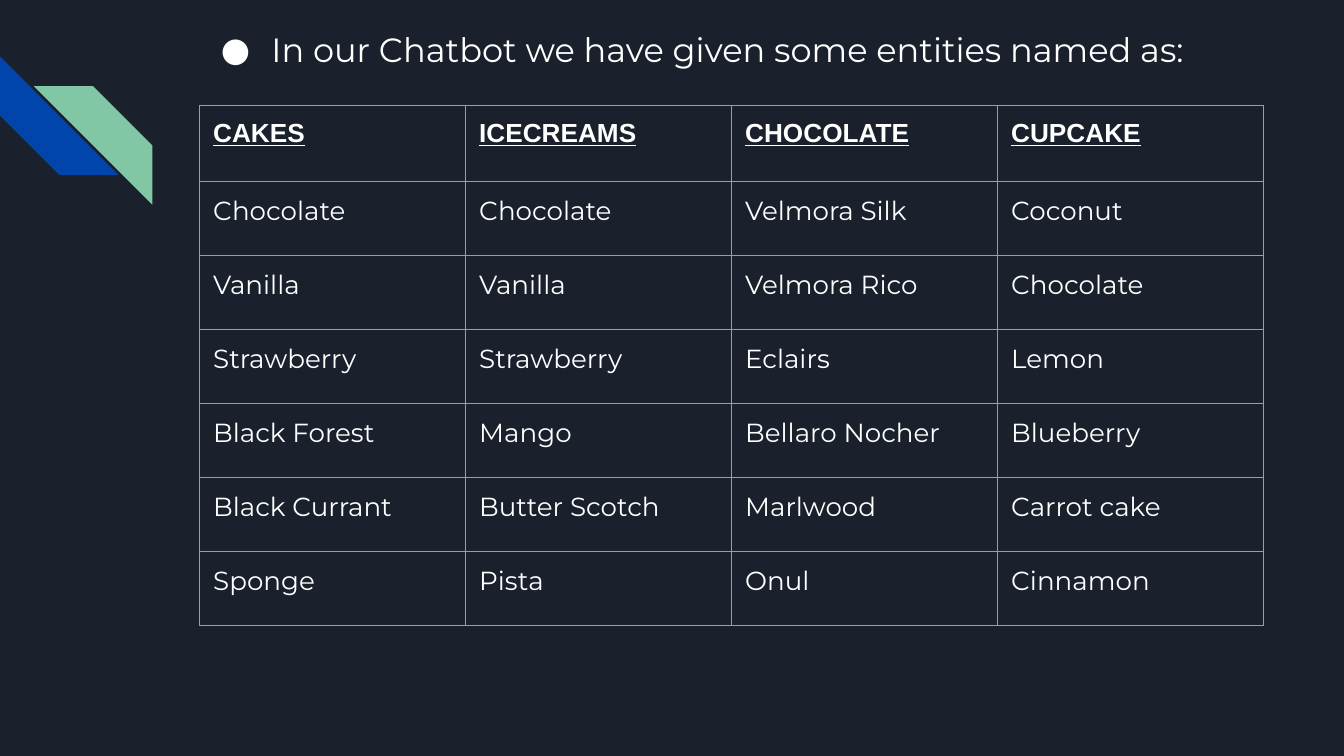
from lxml.etree import SubElement
from pptx import Presentation
from pptx.dml.color import RGBColor
from pptx.enum.shapes import MSO_SHAPE
from pptx.enum.text import MSO_ANCHOR, MSO_AUTO_SIZE
from pptx.oxml import parse_xml
from pptx.oxml.ns import nsdecls, qn
from pptx.util import Pt

NAVY = RGBColor(0x1B, 0x21, 0x2C)
BLUE = RGBColor(0x01, 0x45, 0xAC)
GREEN = RGBColor(0x82, 0xC7, 0xA5)
GREY = RGBColor(0x9E, 0x9E, 0x9E)
WHITE = RGBColor(0xFF, 0xFF, 0xFF)
INSET = Pt(7.2)

ENTITIES = [
    ["CAKES", "ICECREAMS", "CHOCOLATE", "CUPCAKE"],
    ["Chocolate", "Chocolate", "Velmora Silk", "Coconut"],
    ["Vanilla", "Vanilla", "Velmora Rico", "Chocolate"],
    ["Strawberry", "Strawberry", "Eclairs", "Lemon"],
    ["Black Forest", "Mango", "Bellaro Nocher", "Blueberry"],
    ["Black Currant", "Butter Scotch", "Marlwood", "Carrot cake"],
    ["Sponge", "Pista", "Onul", "Cinnamon"],
]


def set_insets(frame):
    frame.margin_left = frame.margin_right = INSET
    frame.margin_top = frame.margin_bottom = INSET


def add_borders(cell):
    for side in ("lnL", "lnR", "lnT", "lnB"):
        cell._tc.get_or_add_tcPr().append(parse_xml(
            f'<a:{side} {nsdecls("a")} w="{Pt(0.75)}"><a:solidFill>'
            f'<a:srgbClr val="{GREY}"/></a:solidFill></a:{side}>'))


prs = Presentation()
prs.slide_width, prs.slide_height = Pt(720), Pt(405)
slide = prs.slides.add_slide(prs.slide_layouts.get_by_name("Title and Content"))
slide.background.fill.solid()
slide.background.fill.fore_color.rgb = NAVY
slide.shapes.title.element.getparent().remove(slide.shapes.title.element)

# Corner stripes
for left, top, color in ((0, 30.2, BLUE), (18.2, 46.2, GREEN)):
    stripe = slide.shapes.add_shape(
        MSO_SHAPE.DIAGONAL_STRIPE, Pt(left), Pt(top), Pt(63.5), Pt(63.5))
    stripe.adjustments[0] = 0.5
    stripe.fill.solid()
    stripe.fill.fore_color.rgb = color
    stripe.line.fill.background()
    stripe.shadow.inherit = False
    if color == BLUE:
        stripe.rotation = 270
    else:
        stripe.element.spPr.find(qn("a:xfrm")).set("flipH", "1")

# Introductory bullet
intro = slide.placeholders[1]
intro.left, intro.top, intro.width, intro.height = Pt(102.2), Pt(5), Pt(586), Pt(384.5)
frame = intro.text_frame
frame.auto_size = MSO_AUTO_SIZE.NONE
frame.vertical_anchor = MSO_ANCHOR.TOP
set_insets(frame)
paragraph = frame.paragraphs[0]
paragraph.text = "In our Chatbot we have given some entities named as:"
paragraph.line_spacing = 1.15
paragraph.space_before = Pt(0)
paragraph.font.name = "Montserrat"
paragraph.font.size = Pt(18)
paragraph.font.color.rgb = WHITE
properties = paragraph._p.get_or_add_pPr()
properties.set("marL", str(Pt(36)))
properties.set("indent", str(-Pt(27)))
bullet_color = SubElement(properties, qn("a:buClr"))
SubElement(bullet_color, qn("a:srgbClr"), val=str(WHITE))
SubElement(properties, qn("a:buFont"), typeface="Montserrat")
SubElement(properties, qn("a:buChar"), char="●")
# Schema order: the bullet comes before the default run properties
defaults = properties.find(qn("a:defRPr"))
if defaults is not None:
    properties.append(defaults)

# Entity table
entity_table = slide.shapes.add_table(
    len(ENTITIES), len(ENTITIES[0]), Pt(107), Pt(56.4), Pt(570), Pt(278.6)).table
for column in entity_table.columns:
    column.width = Pt(142.5)
for row_number, names in enumerate(ENTITIES):
    is_header = row_number == 0
    entity_table.rows[row_number].height = Pt(41 if is_header else 39.6)
    for column_number, name in enumerate(names):
        cell = entity_table.cell(row_number, column_number)
        add_borders(cell)
        cell.fill.background()
        set_insets(cell)
        entry = cell.text_frame.paragraphs[0]
        entry.text = name
        entry.font.name = "Arial" if is_header else "Montserrat"
        entry.font.size = Pt(14)
        entry.font.color.rgb = WHITE
        entry.font.bold = entry.font.underline = is_header

prs.save("out.pptx")
